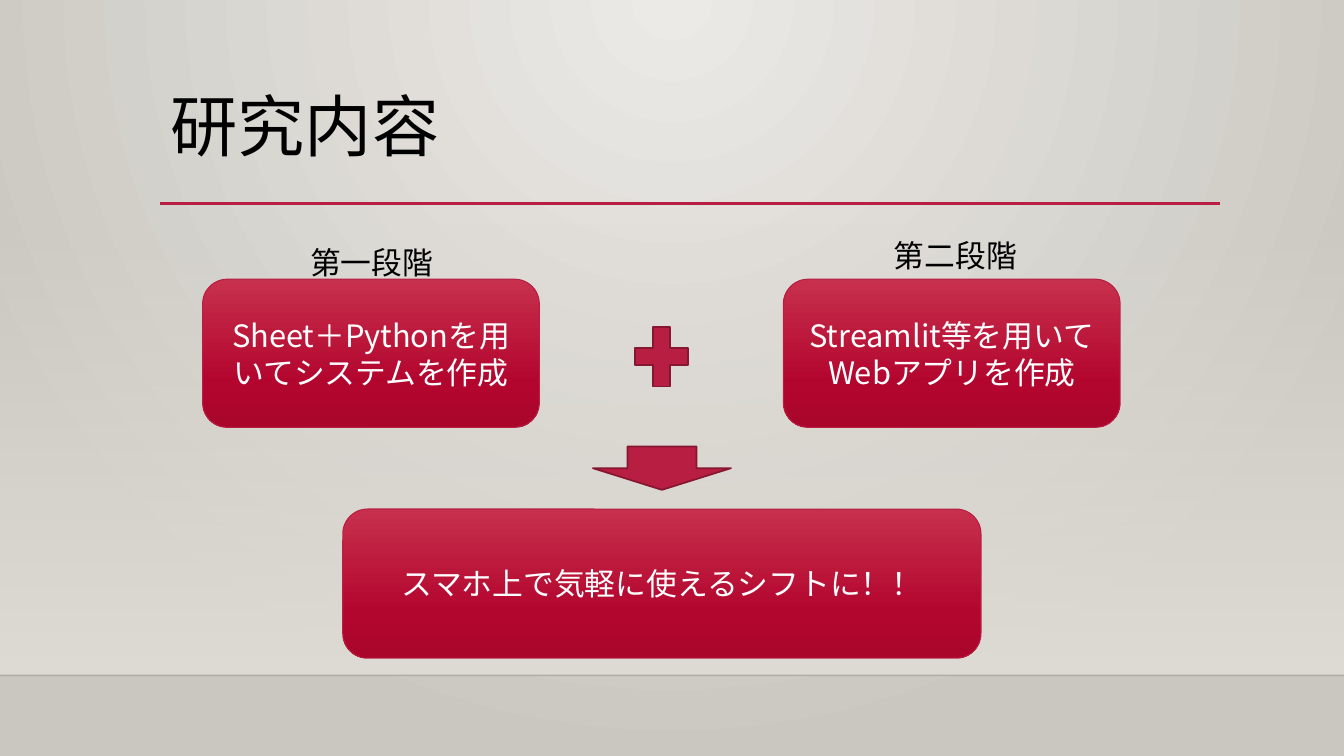
from pptx import Presentation
from pptx.util import Inches, Pt
from pptx.dml.color import RGBColor
from pptx.enum.shapes import MSO_SHAPE as SHAPE, MSO_CONNECTOR as CONN
from pptx.enum.text import PP_ALIGN as ALIGN, MSO_ANCHOR as ANCHOR
from pptx.oxml import parse_xml
from pptx.oxml.ns import nsdecls, qn
from lxml.etree import SubElement


def hue(code):
    return RGBColor.from_string(code)


class Deck:
    font = "Noto Sans CJK JP"
    red, edge = "B71E42", "871631"
    black, white = "000000", "FFFFFF"
    gloss = [(0, "C7304C", 100), (69, "B3062F", 100), (100, "AA062C", 100)]
    down = '<a:lin ang="5400000" scaled="0"/>'
    glow = ('<a:path path="circle"><a:fillToRect l="43000" t="0" '
            'r="43000" b="100000"/></a:path>')

    def __init__(self):
        self.prs = Presentation()
        self.prs.slide_width = Inches(13.33)
        self.prs.slide_height = Inches(7.5)
        self.slide = self.prs.slides.add_slide(self.prs.slide_layouts[5])
        self.shapes = self.slide.shapes

    def blend(self, fill, root, stops, way):
        fill.solid()
        old = next(root.iter(qn("a:solidFill")))
        marks = "".join(
            f'<a:gs pos="{pos * 1000}"><a:srgbClr val="{code}">'
            f'<a:alpha val="{alpha * 1000}"/></a:srgbClr></a:gs>'
            for pos, code, alpha in stops)
        new = parse_xml(f'<a:gradFill {nsdecls("a")} rotWithShape="1">'
                        f'<a:gsLst>{marks}</a:gsLst>{way}</a:gradFill>')
        old.getparent().replace(old, new)

    def back(self, stops):
        self.blend(self.slide.background.fill, self.slide.element, stops, self.glow)

    def words(self, frame, text, size, color, align=ALIGN.CENTER,
              anchor=ANCHOR.TOP, gap=1.0):
        frame.word_wrap = True
        frame.vertical_anchor = anchor
        para = frame.paragraphs[0]
        para.alignment = align
        para.line_spacing = gap
        run = para.add_run()
        run.text = text
        run.font.size = Pt(size)
        run.font.name = self.font
        run.font.color.rgb = hue(color)
        SubElement(run.font._element, qn("a:ea"), typeface=self.font)

    def place(self, kind, box):
        shape = self.shapes.add_shape(kind, *map(Inches, box))
        shape.shadow.inherit = False
        return shape

    def title(self, text, box):
        shape = self.shapes.title
        shape.left, shape.top, shape.width, shape.height = map(Inches, box)
        self.words(shape.text_frame, text, 48, self.black, ALIGN.LEFT, gap=0.9)

    def label(self, text, box, gap=1.0):
        shape = self.shapes.add_textbox(*map(Inches, box))
        self.words(shape.text_frame, text, 22, self.black, gap=gap)

    def shade(self, box, stops):
        shape = self.place(SHAPE.RECTANGLE, box)
        self.blend(shape.fill, shape.element, stops, self.down)
        shape.line.fill.background()

    def card(self, text, box):
        shape = self.place(SHAPE.ROUNDED_RECTANGLE, box)
        self.blend(shape.fill, shape.element, self.gloss, self.down)
        shape.line.color.rgb = hue(self.red)
        shape.line.width = Pt(0.75)
        self.words(shape.text_frame, text, 22, self.white, anchor=ANCHOR.MIDDLE)

    def sign(self, kind, box, turn=0):
        shape = self.place(kind, box)
        shape.rotation = turn
        shape.fill.solid()
        shape.fill.fore_color.rgb = hue(self.red)
        shape.line.color.rgb = hue(self.edge)
        shape.line.width = Pt(1.25)

    def rule(self, left, right, top, color, width, alpha=100):
        line = self.shapes.add_connector(
            CONN.STRAIGHT, Inches(left), Inches(top), Inches(right), Inches(top))
        line.line.color.rgb = hue(color)
        line.line.width = Pt(width)
        tone = next(line.element.iter(qn("a:srgbClr")))
        SubElement(tone, qn("a:alpha"), val=str(alpha * 1000))
        SubElement(line.element.spPr, qn("a:effectLst"))

    def save(self):
        self.prs.save("out.pptx")


def main():
    deck = Deck()
    deck.back([(0, "ECEAE7", 100), (100, "CAC7C1", 100)])
    deck.shade((0, 2.21, 13.33, 4.49), [(0, "DFDBD5", 0), (100, "DFDBD5", 100)])
    deck.rule(0, 13.33, 6.7, "000001", 1, 20)
    deck.rule(1.59, 12.1, 2.02, deck.red, 2.5)
    deck.title("研究内容", (1.59, 0.88, 10.5, 1.15))
    deck.label("第一段階", (2.93, 2.33, 1.51, 0.47), 1.1)
    deck.sign(SHAPE.RIGHT_ARROW, (6.35, 3.96, 0.43, 1.37), 90)
    deck.card("Streamlit等を用いてWebアプリを作成", (7.77, 2.77, 3.34, 1.47))
    deck.sign(SHAPE.MATH_PLUS, (6.2, 3.14, 0.72, 0.8))
    deck.card("スマホ上で気軽に使えるシフトに！！", (3.4, 5.05, 6.33, 1.48))
    deck.card("Sheet＋Pythonを用いてシステムを作成", (2.01, 2.77, 3.34, 1.47))
    deck.label("第二段階", (8.72, 2.3, 1.51, 0.47))
    deck.save()


if __name__ == "__main__":
    main()
